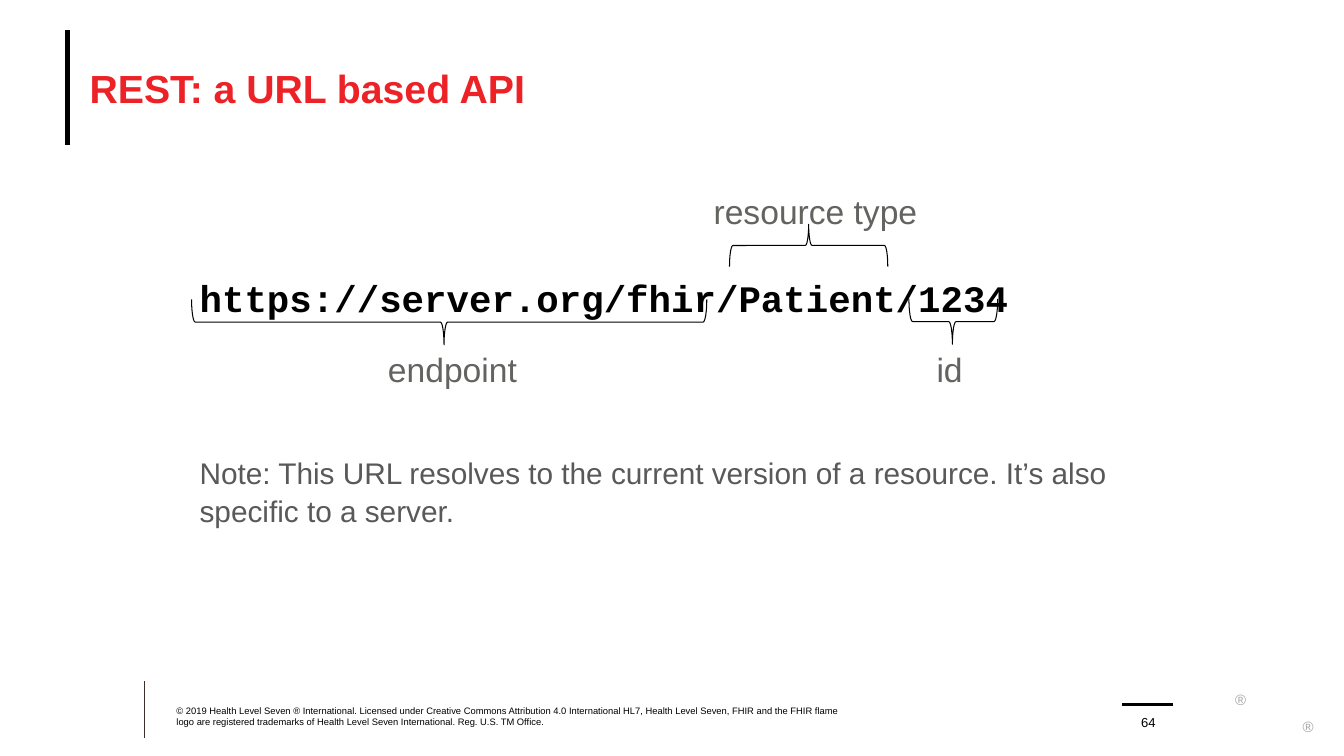
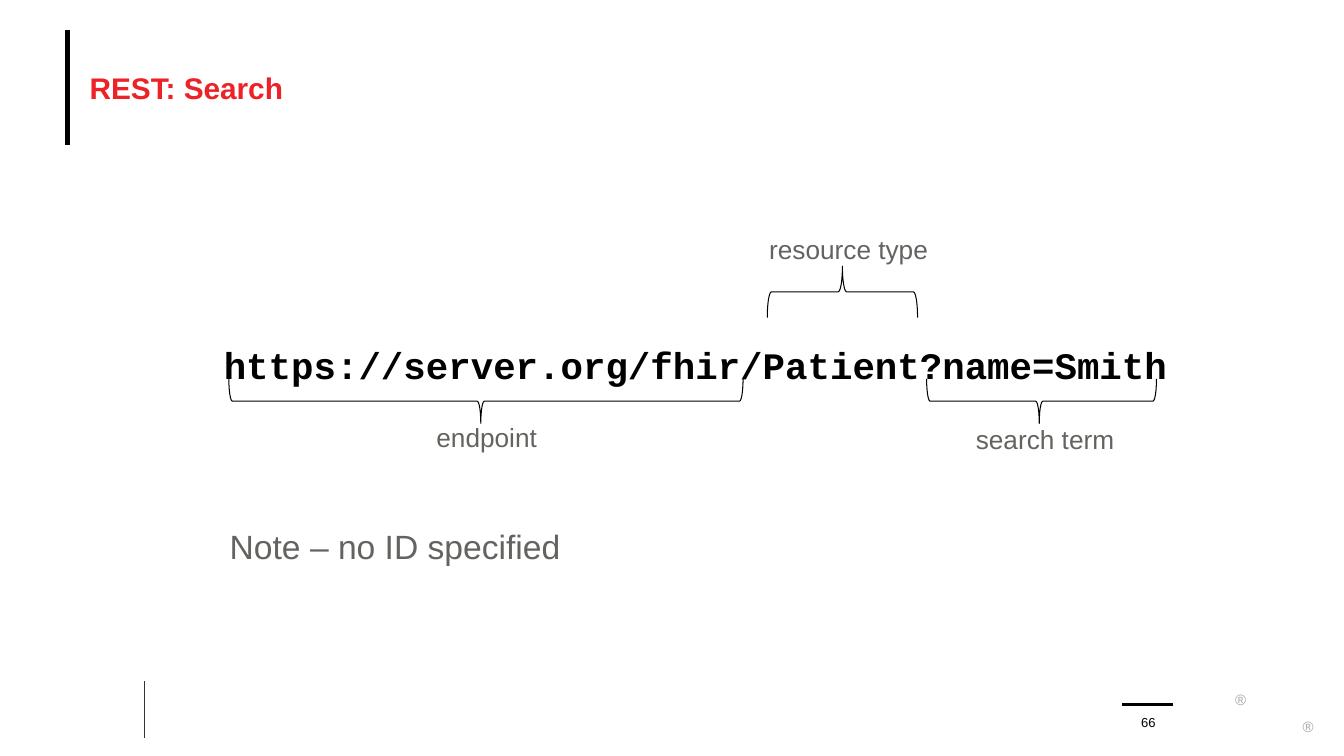
import dataclasses
import typing

import lxml.etree
import pptx
import pptx.dml.color
import pptx.enum.shapes
import pptx.enum.text
import pptx.oxml.ns
import pptx.presentation
import pptx.slide
import pptx.util

Slide = pptx.slide.Slide
Align = pptx.enum.text.PP_ALIGN
Anchor = pptx.enum.text.MSO_ANCHOR

EMU_PER_PX = 9144  # 100 px to the inch


def px(length: int) -> pptx.util.Emu:
    return pptx.util.Emu(length * EMU_PER_PX)


@dataclasses.dataclass(frozen=True)
class Theme:
    black: str = "000000"
    title_red: str = "EC2227"
    note_grey: str = "595959"
    label_grey: str = "636360"
    mark_grey: str = "A6A6A6"
    footer_rule: str = "3D3029"
    sans: str = "Arial"
    mono: str = "Courier New"
    url_size: float = 26.7
    note_size: float = 21.3
    mark_size: float = 10.7
    page_size: float = 9.3
    legal_size: float = 6.7
    brace_width: float = 0.75


THEME = Theme()


class Box(typing.NamedTuple):
    left: int
    top: int
    width: int
    height: int


@dataclasses.dataclass(frozen=True)
class Text:
    words: str
    size: float
    color: str
    font: str = THEME.sans
    bold: bool = False
    before: float = 0
    spacing: float = 1.0


@dataclasses.dataclass(frozen=True)
class Label:
    words: str
    box: Box
    size: float


@dataclasses.dataclass(frozen=True)
class Brace:
    """A horizontal brace, given by the box it covers on the slide."""

    box: Box
    points_up: bool = False


@dataclasses.dataclass(frozen=True)
class UrlSlide:
    title: str
    title_size: float
    page: int
    body_box: Box
    body: tuple[Text, ...]
    braces: tuple[Brace, ...]
    labels: tuple[Label, ...]
    legal: str = ""


class Rule(typing.NamedTuple):
    start: tuple[int, int]
    end: tuple[int, int]
    color: str
    width: float


FRAME_RULES = (
    Rule((143, 676), (143, 732), THEME.footer_rule, 0.5),
    Rule((67, 30), (67, 144), THEME.black, 3.25),
    Rule((1113, 699), (1163, 699), THEME.black, 2),
)
MARK_BOXES = (Box(1225, 680, 15, 28), Box(1292, 707, 15, 28))
TITLE_BOX = Box(89, 30, 1200, 114)
PAGE_BOX = Box(1119, 699, 40, 25)
LEGAL_BOX = Box(175, 699, 661, 23)


def url_text(url: str) -> Text:
    return Text(url, THEME.url_size, THEME.black, THEME.mono, bold=True)


URL_SLIDES = (
    UrlSlide(
        title="REST: a URL based API",
        title_size=28,
        page=64,
        body_box=Box(198, 273, 961, 257),
        body=(
            url_text("https://server.org/fhir/Patient/1234"),
            Text(
                "Note: This URL resolves to the current version of a resource. "
                "It’s also specific to a server.",
                THEME.note_size, THEME.note_grey, before=95, spacing=1.05,
            ),
        ),
        braces=(
            Brace(Box(724, 222, 157, 42), points_up=True),
            Brace(Box(902, 296, 88, 45)),
            Brace(Box(190, 297, 511, 45)),
        ),
        labels=(
            Label("endpoint", Box(375, 341, 150, 50), 24),
            Label("resource type", Box(698, 184, 224, 50), 24),
            Label("id", Box(919, 341, 62, 50), 24),
        ),
        legal="© 2019 Health Level Seven ® International. Licensed under Creative "
        "Commons Attribution 4.0 International HL7, Health Level Seven, FHIR and "
        "the FHIR flame logo are registered trademarks of Health Level Seven "
        "International. Reg. U.S. TM Office.",
    ),
    UrlSlide(
        title="REST: Search",
        title_size=21.3,
        page=66,
        body_box=Box(222, 339, 1080, 192),
        body=(url_text("https://server.org/fhir/Patient?name=Smith"),),
        braces=(
            Brace(Box(227, 376, 510, 44)),
            Brace(Box(761, 264, 149, 51), points_up=True),
            Brace(Box(919, 376, 228, 44)),
        ),
        labels=(
            Label("endpoint", Box(423, 413, 126, 42), 18.7),
            Label("resource type", Box(753, 227, 228, 42), 18.7),
            Label("Note – no ID specified", Box(218, 517, 352, 50), 24),
            Label("search term", Box(958, 415, 171, 42), 18.7),
        ),
    ),
)


def rgb(color: str) -> pptx.dml.color.RGBColor:
    return pptx.dml.color.RGBColor.from_string(color)


def add_text(
    slide: Slide,
    box: Box,
    *texts: Text,
    anchor: Anchor = Anchor.TOP,
    align: Align = Align.LEFT,
    inset: tuple[int, int] = (0, 0),
) -> None:
    """Write one paragraph per text; inset is horizontal, then vertical."""
    frame = slide.shapes.add_textbox(*map(px, box)).text_frame
    frame.word_wrap = True
    frame.vertical_anchor = anchor
    frame.margin_left = frame.margin_right = px(inset[0])
    frame.margin_top = frame.margin_bottom = px(inset[1])
    for index, text in enumerate(texts):
        paragraph = frame.add_paragraph() if index else frame.paragraphs[0]
        paragraph.alignment = align
        paragraph.line_spacing = text.spacing
        if index:
            paragraph.space_before = pptx.util.Pt(text.before)
        run = paragraph.add_run()
        run.text = text.words
        run.font.name = text.font
        run.font.size = pptx.util.Pt(text.size)
        run.font.bold = text.bold
        run.font.color.rgb = rgb(text.color)


def add_rule(slide: Slide, rule: Rule) -> None:
    connector = slide.shapes.add_connector(
        pptx.enum.shapes.MSO_CONNECTOR.STRAIGHT, *map(px, rule.start + rule.end)
    )
    connector.line.color.rgb = rgb(rule.color)
    connector.line.width = pptx.util.Pt(rule.width)
    lxml.etree.SubElement(
        connector._element.spPr, pptx.oxml.ns.qn("a:effectLst")
    )


def add_brace(slide: Slide, brace: Brace) -> None:
    """Turn an upright left brace about its centre so that it covers the box."""
    left, top, span, depth = brace.box
    shift = (span - depth) // 2
    shape = slide.shapes.add_shape(
        pptx.enum.shapes.MSO_SHAPE.LEFT_BRACE,
        *map(px, (left + shift, top - shift, depth, span)),
    )
    shape.rotation = 90 if brace.points_up else 270
    shape.adjustments[0] = 0.08
    shape.adjustments[1] = 0.5 if brace.points_up else 0.49
    shape.shadow.inherit = False
    shape.fill.background()
    shape.line.color.rgb = rgb(THEME.black)
    shape.line.width = pptx.util.Pt(THEME.brace_width)


def add_frame(slide: Slide, content: UrlSlide) -> None:
    """Draw the rules, marks, title and footer that every slide carries."""
    for rule in FRAME_RULES:
        add_rule(slide, rule)
    for box in MARK_BOXES:
        mark = Text("®", THEME.mark_size, THEME.mark_grey)
        add_text(slide, box, mark, inset=(0, 5))
    title = Text(content.title, content.title_size, THEME.title_red, bold=True)
    add_text(slide, TITLE_BOX, title, anchor=Anchor.MIDDLE)
    page = Text(str(content.page), THEME.page_size, THEME.black)
    add_text(slide, PAGE_BOX, page, anchor=Anchor.BOTTOM, align=Align.CENTER)
    if content.legal:
        legal = Text(content.legal, THEME.legal_size, THEME.black)
        add_text(slide, LEGAL_BOX, legal, anchor=Anchor.BOTTOM)


def add_url_slide(deck: pptx.presentation.Presentation, content: UrlSlide) -> None:
    slide = deck.slides.add_slide(deck.slide_layouts[6])
    add_frame(slide, content)
    add_text(slide, content.body_box, *content.body)
    for brace in content.braces:
        add_brace(slide, brace)
    for label in content.labels:
        words = Text(label.words, label.size, THEME.label_grey)
        add_text(slide, label.box, words, inset=(10, 5))


def main() -> None:
    deck = pptx.Presentation()
    deck.slide_width, deck.slide_height = px(1333), px(750)
    for content in URL_SLIDES:
        add_url_slide(deck, content)
    deck.save("out.pptx")


if __name__ == "__main__":
    main()
